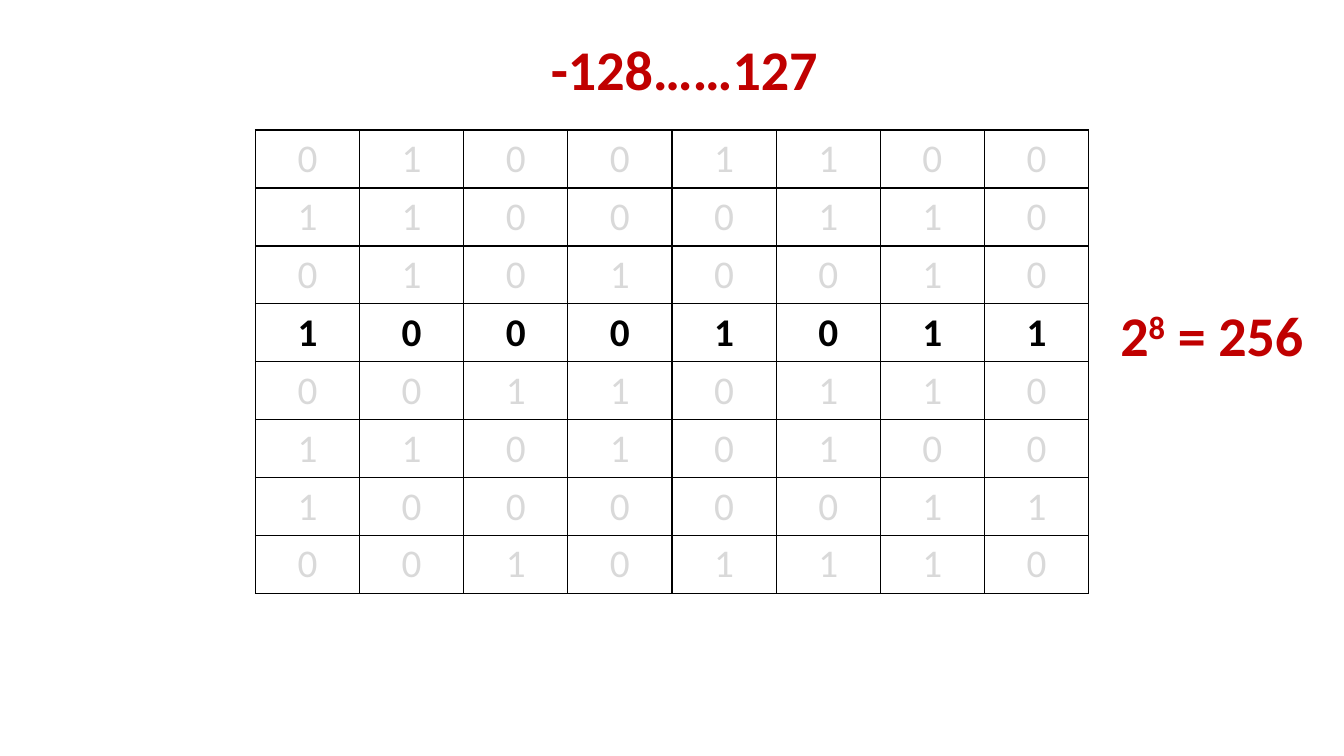
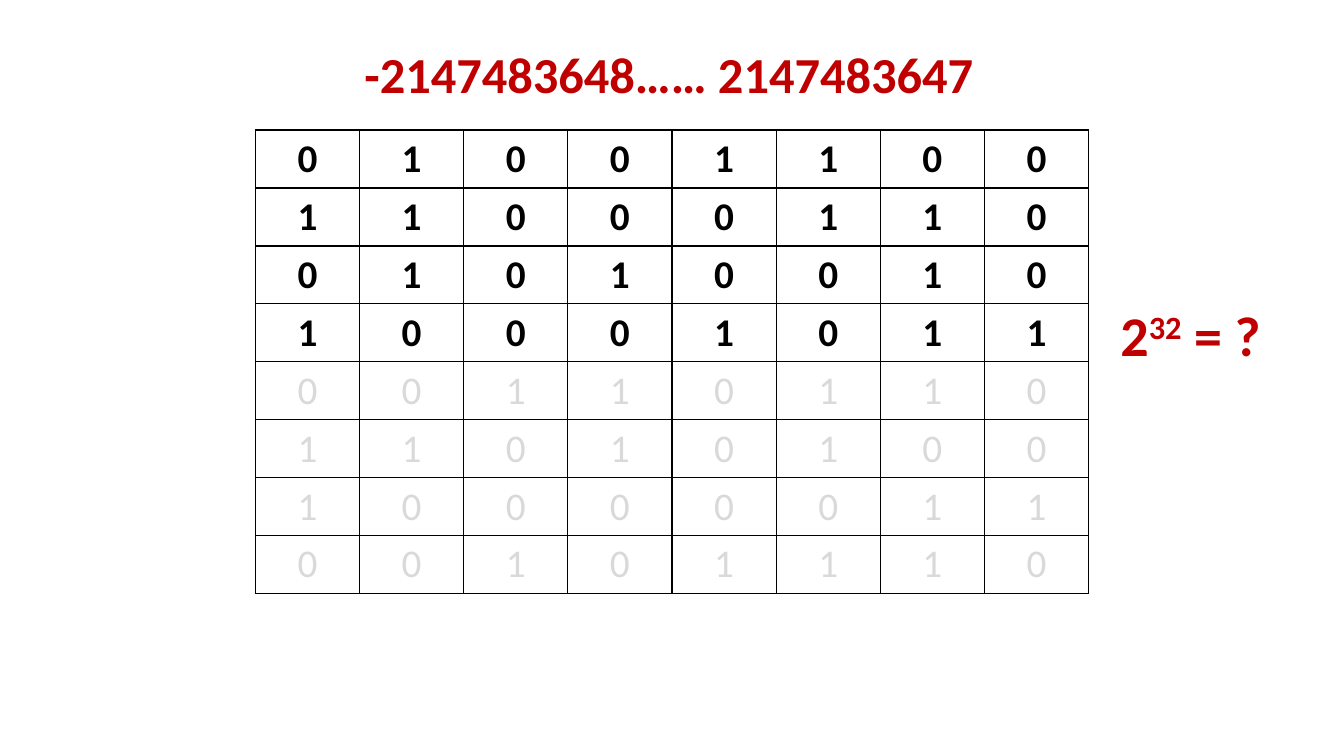
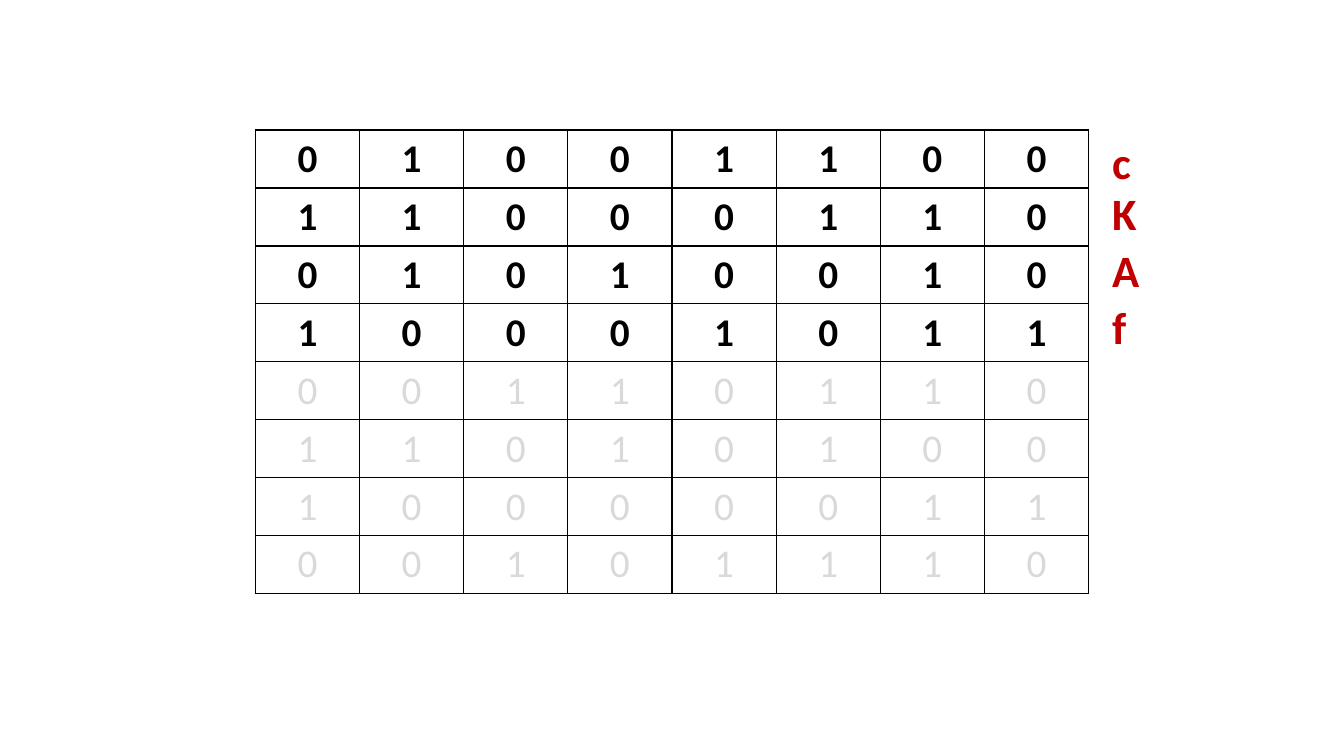
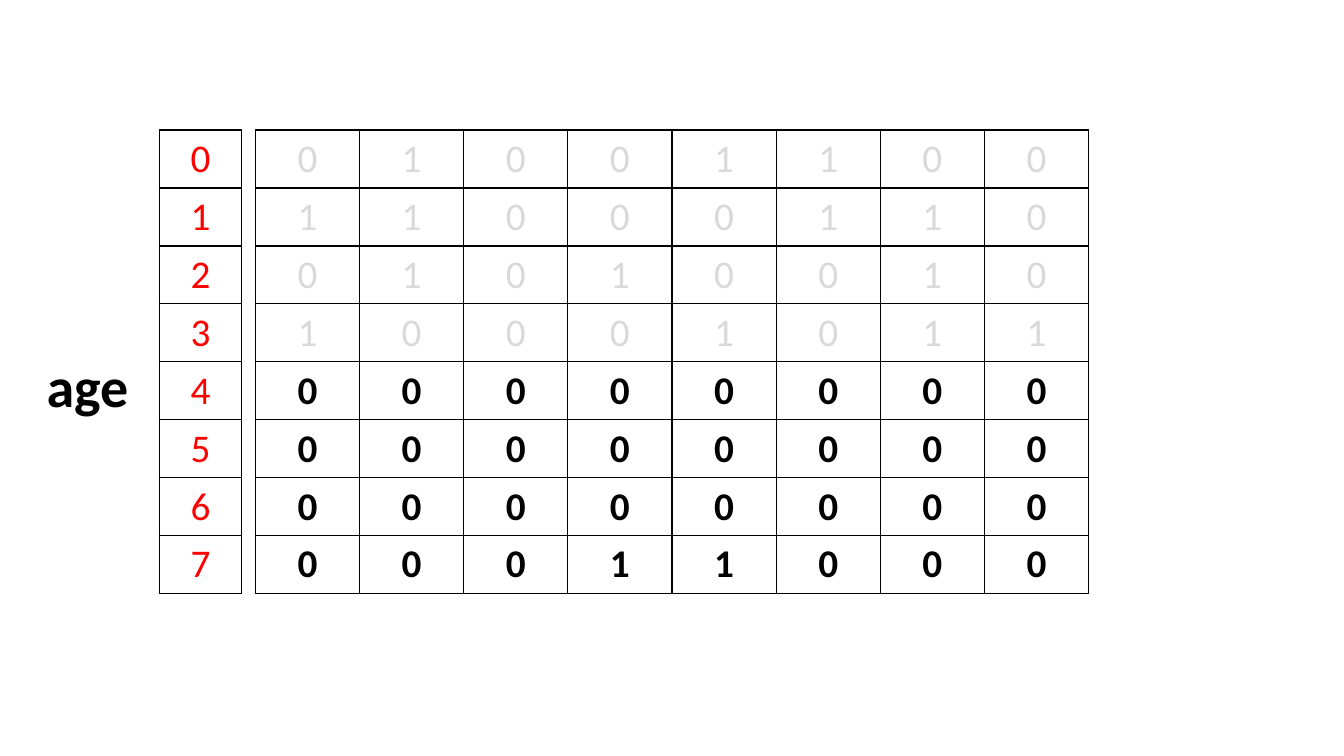
"""Build four slides that show one byte grid read as numbers, characters and a variable."""
from dataclasses import dataclass

from lxml.etree import SubElement
from pptx import Presentation
from pptx.dml.color import RGBColor
from pptx.enum.text import MSO_ANCHOR, MSO_AUTO_SIZE, PP_ALIGN
from pptx.oxml.ns import qn
from pptx.util import Inches, Pt


@dataclass(frozen=True)
class Theme:
    font: str = "Calibri"
    ink: str = "000000"
    muted: str = "D9D9D9"
    accent: str = "C00000"
    index: str = "FF0000"
    digit: int = 28
    letter: int = 32
    long_title: int = 36
    large: int = 40
    border: int = 1


THEME = Theme()
TITLE_ONLY, BLANK = 5, 6
SLIDE_W, SLIDE_H = 13.33, 7.5
GRID_LEFT, GRID_TOP = 0.19 * SLIDE_W, 0.172 * SLIDE_H
COL, ROW = 0.62 * SLIDE_W / 8, 0.46 * SLIDE_W * 0.75 / 8

MEMORY = ["01001100", "11000110", "01010010", "10001011",
          "00110110", "11010100", "10000011", "00101110"]
AGE_MEMORY = MEMORY[:4] + ["00000000"] * 3 + ["00011000"]
ADDRESSES = "01234567"

# column, row, width in columns
POWER_AT = (8.21, 2.85)
SLIDES = [
    dict(bits=MEMORY, active=range(3, 4),
         title=("-128……127", (2.74, -1.74, 2.79), THEME.large),
         labels=[(["2", "^8", " = 256"], (*POWER_AT, 1.99), THEME.large, THEME.accent)]),
    dict(bits=MEMORY, active=range(4),
         title=("-2147483648…… 2147483647", (0.95, -1.58, 6.1), THEME.long_title),
         labels=[(["2", "^32", " = ?"], (*POWER_AT, 1.61), THEME.large, THEME.accent)]),
    dict(bits=MEMORY, active=range(4),
         labels=[([letter], (8.13, row, width), THEME.letter, THEME.accent)
                 for letter, row, width in [("c", 0, 0.38), ("K", 0.87, 0.44),
                                            ("A", 1.86, 0.45), ("f", 2.85, 0.33)]]),
    dict(bits=AGE_MEMORY, active=range(4, 8), addresses=ADDRESSES,
         labels=[(["age"], (-2.1, 3.74, 0.99), THEME.large, THEME.ink)]),
]


def grid_box(col, row, width, height):
    return (Inches(GRID_LEFT + col * COL), Inches(GRID_TOP + row * ROW),
            Inches(width * COL), Inches(height))


def add_run(paragraph, text, size, color, bold):
    run = paragraph.add_run()
    run.text = text.lstrip("^")
    font = run.font
    font.name, font.size, font.bold = THEME.font, Pt(size), bold
    font.color.rgb = RGBColor.from_string(color)
    if text.startswith("^"):
        font._element.set("baseline", "30000")


def write_line(box, runs, place, size, color):
    height = size * 1.2 / 72 + 0.1
    box.left, box.top, box.width, box.height = grid_box(*place, height)
    frame = box.text_frame
    frame.word_wrap = False
    frame.auto_size = MSO_AUTO_SIZE.SHAPE_TO_FIT_TEXT
    frame.vertical_anchor = MSO_ANCHOR.TOP
    paragraph = frame.paragraphs[0]
    paragraph.alignment = PP_ALIGN.LEFT
    for text in runs:
        add_run(paragraph, text, size, color, True)


def outline(cell):
    properties = cell._tc.get_or_add_tcPr()
    for side in ("a:lnL", "a:lnR", "a:lnT", "a:lnB"):
        line = SubElement(properties, qn(side), w=str(Pt(THEME.border)))
        fill = SubElement(line, qn("a:solidFill"))
        SubElement(fill, qn("a:srgbClr"), val=THEME.ink)


def add_digits(slide, rows, col, width, style_of):
    count = len(rows[0])
    place = grid_box(col, 0, width * count, ROW * len(rows))
    table = slide.shapes.add_table(len(rows), count, *place).table
    table.first_row = table.horz_banding = False
    for column in table.columns:
        column.width = Inches(width * COL)
    for r, digits in enumerate(rows):
        table.rows[r].height = Inches(ROW)
        for c, digit in enumerate(digits):
            cell = table.cell(r, c)
            outline(cell)
            cell.fill.background()
            paragraph = cell.text_frame.paragraphs[0]
            paragraph.alignment = PP_ALIGN.CENTER
            add_run(paragraph, digit, THEME.digit, *style_of(r))


def build_slide(deck, bits, active, labels, title=None, addresses=None):
    slide = deck.slides.add_slide(deck.slide_layouts[TITLE_ONLY if title else BLANK])
    add_digits(slide, bits, 0, 1,
               lambda r: (THEME.ink, True) if r in active else (THEME.muted, False))
    if addresses:
        add_digits(slide, addresses, -0.92, 0.79, lambda r: (THEME.index, False))
    if title:
        text, place, size = title
        write_line(slide.shapes.title, [text], place, size, THEME.accent)
    for runs, place, size, color in labels:
        write_line(slide.shapes.add_textbox(0, 0, 0, 0), runs, place, size, color)


deck = Presentation()
deck.slide_width, deck.slide_height = Inches(SLIDE_W), Inches(SLIDE_H)
for content in SLIDES:
    build_slide(deck, **content)
deck.save("out.pptx")
